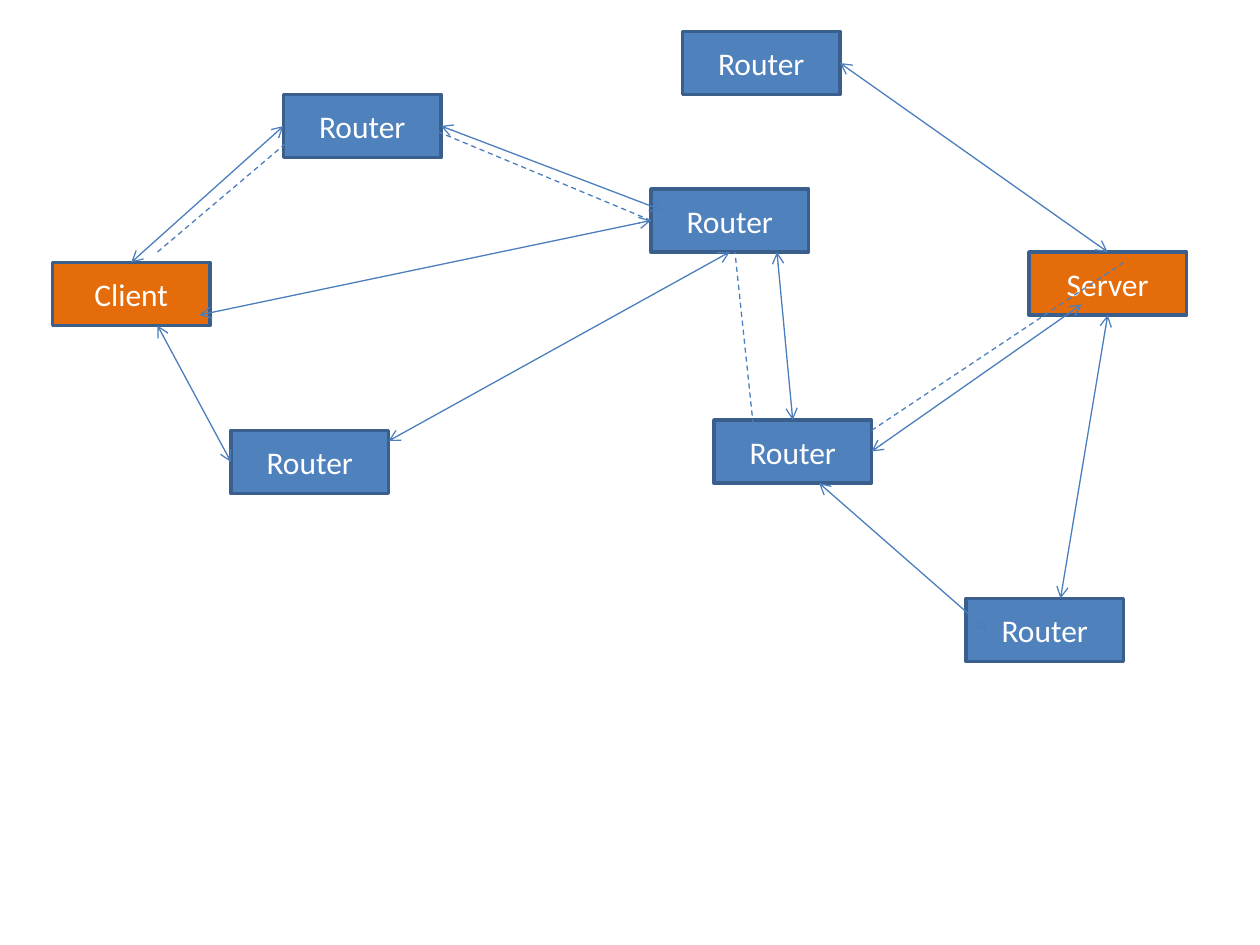
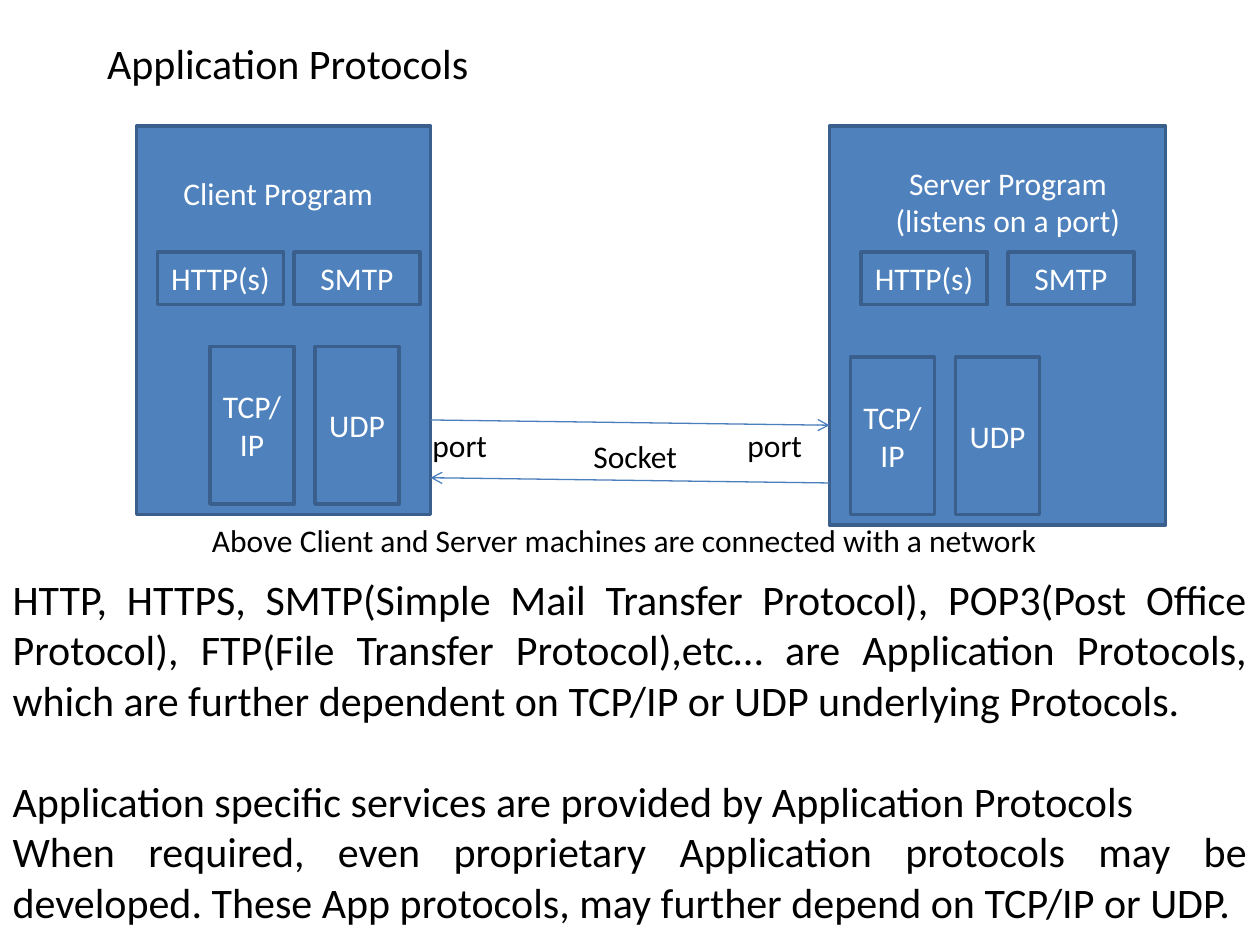
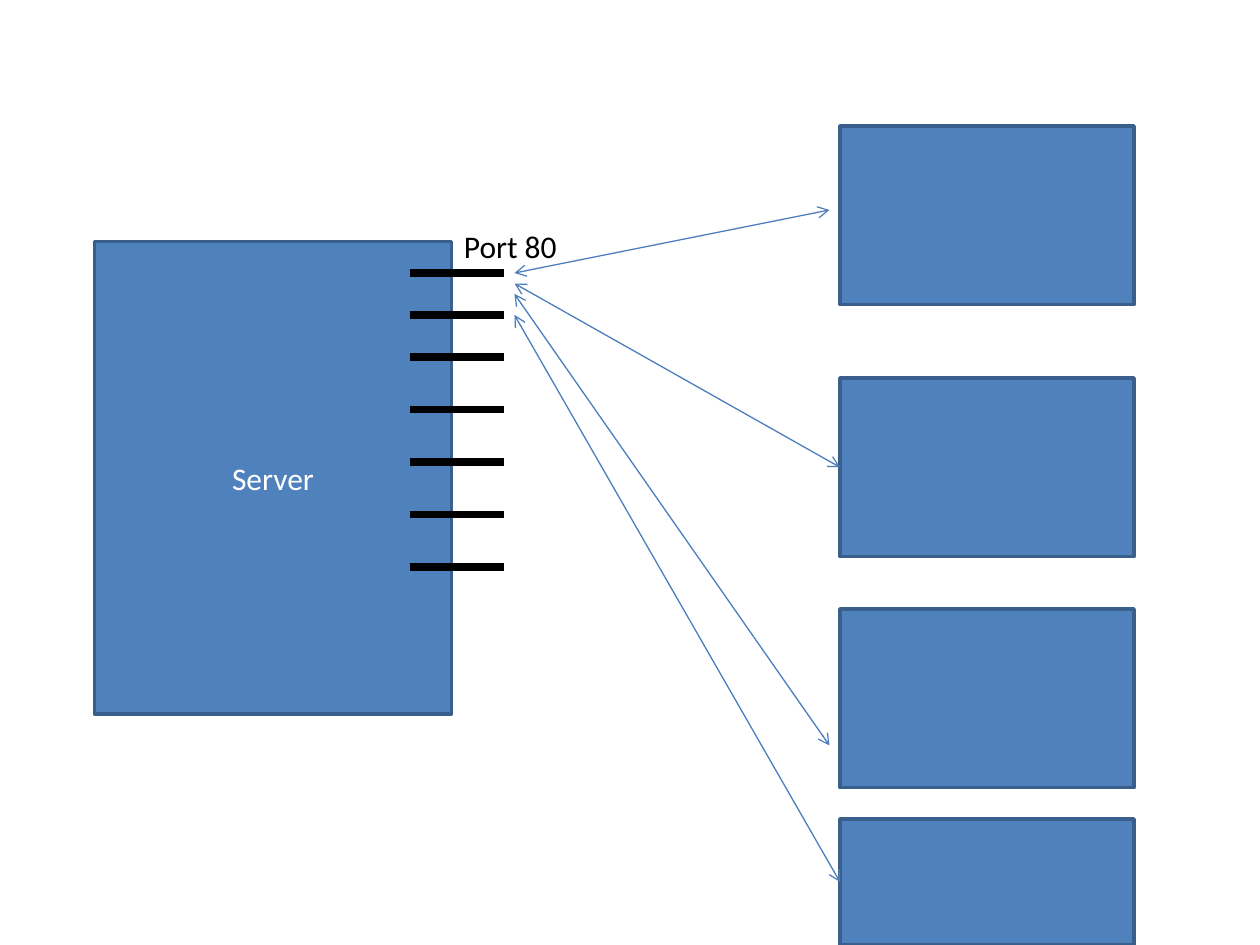
import pptx
import pptx.dml.color
import pptx.enum.dml
import pptx.enum.shapes
import pptx.enum.text
import pptx.oxml
import pptx.oxml.ns
import pptx.util

COLORS = {"node": "4F81BD", "endpoint": "E46C0A", "outline": "3A5F8C",
          "link": "4B7EBC", "light": "FFFFFF", "dark": "000000"}
FONT = "Calibri"
STEP = 2.54 / 12  # centimetres in one grid unit, twelve to the inch
LABEL_H = 4.8     # height of a one-line label, in grid units

ALIGN = pptx.enum.text.PP_ALIGN
ANCHOR = pptx.enum.text.MSO_ANCHOR
BOX_TEXT = {"alignment": ALIGN.CENTER}
PLAIN_TEXT = {"alignment": ALIGN.LEFT}
BODY_TEXT = {"alignment": ALIGN.JUSTIFY, "space_before": pptx.util.Pt(0)}


def grid(*units):
    """Turn grid units into lengths."""
    return [pptx.util.Cm(STEP * u) for u in units]


def rgb(name):
    """Look up a colour of the deck."""
    return pptx.dml.color.RGBColor.from_string(COLORS[name])


def set_attrs(obj, values):
    """Set each attribute named in values."""
    for name, value in values.items():
        setattr(obj, name, value)


def place(sp, left, top, width, height):
    """Move a shape to a box of the grid."""
    names = ("left", "top", "width", "height")
    set_attrs(sp, dict(zip(names, grid(left, top, width, height))))


def write(sp, lines, para, color, size=18, anchor=ANCHOR.TOP):
    """Write one paragraph a line into a shape."""
    tf = sp.text_frame
    set_attrs(tf, {"word_wrap": True, "vertical_anchor": anchor,
                   "auto_size": pptx.enum.text.MSO_AUTO_SIZE.NONE})
    for i, line in enumerate(lines):
        p = tf.add_paragraph() if i else tf.paragraphs[0]
        set_attrs(p, para)
        r = p.add_run()
        r.text = line
        set_attrs(r.font, {"name": FONT, "size": pptx.util.Pt(size)})
        r.font.color.rgb = rgb(color)


def add_box(slide, left, top, width, height, *lines, fill="node"):
    """Add an outlined rectangle with centred text."""
    sp = slide.shapes.add_shape(pptx.enum.shapes.MSO_SHAPE.RECTANGLE,
                                *grid(left, top, width, height))
    sp.shadow.inherit = False
    sp.fill.solid()
    sp.fill.fore_color.rgb = rgb(fill)
    sp.line.color.rgb = rgb("outline")
    sp.line.width = pptx.util.Pt(2)
    write(sp, lines, BOX_TEXT, "light", anchor=ANCHOR.MIDDLE)


def add_label(slide, left, top, width, *lines, para=PLAIN_TEXT, color="dark"):
    """Add free text."""
    sp = slide.shapes.add_textbox(*grid(left, top, width, LABEL_H * len(lines)))
    write(sp, lines, para, color)


def add_link(slide, x1, y1, x2, y2, ends=("head", "tail"), dashed=False,
             color="link", width=0.75):
    """Add a line with open arrowheads at the named ends."""
    sp = slide.shapes.add_connector(pptx.enum.shapes.MSO_CONNECTOR.STRAIGHT,
                                    *grid(x1, y1, x2, y2))
    sp.line.color.rgb = rgb(color)
    sp.line.width = pptx.util.Pt(width)
    if dashed:
        sp.line.dash_style = pptx.enum.dml.MSO_LINE.DASH
    ln = sp.line._get_or_add_ln()
    for end in ends:
        ln.append(pptx.oxml.parse_xml(
            f'<a:{end}End {pptx.oxml.ns.nsdecls("a")} type="arrow"/>'))
    sp._element.spPr.append(pptx.oxml.parse_xml(
        f'<a:effectLst {pptx.oxml.ns.nsdecls("a")}/>'))


def network(slide, left, top):
    """Draw routers between a client and a server, with one dashed route."""
    nodes = [("Client", 0, 22), ("Server", 93, 21)]
    nodes += [("Router", x, y) for x, y in
              ((60, 0), (87, 54), (17, 38), (63, 37), (57, 15), (22, 6))]
    for name, x, y in nodes:
        add_box(slide, left + x, top + y, 15, 6, name,
                fill="node" if name == "Router" else "endpoint")
    links = [(7.5, 22, 22, 9), (37, 9, 58, 17), (14, 27, 57, 18),
             (32, 39, 64.5, 21), (10, 28, 17, 41), (69, 21, 70.5, 37),
             (78, 40, 98, 26), (75, 3, 100.5, 21), (73, 43, 89, 57),
             (100.5, 27, 96, 54)]
    route = [(10, 21, 23, 10), (57, 18, 33, 8), (67, 40, 65, 21),
             (78, 38, 102, 22)]
    for x1, y1, x2, y2 in links:
        add_link(slide, left + x1, top + y1, left + x2, top + y2)
    for x1, y1, x2, y2 in route:
        add_link(slide, left + x1, top + y1, left + x2, top + y2,
                 ends=(), dashed=True)


def machine(slide, left, top, width, height, label, label_at, app_x,
            transport_x, transport_y):
    """Draw a machine with its program, application and transport protocols."""
    add_box(slide, left, top, width, height)
    x, y, w = label_at
    add_label(slide, left + x, top + y, w, *label, para=BOX_TEXT, color="light")
    for x, name in zip(app_x, ("HTTP(s)", "SMTP")):
        add_box(slide, left + x, top + 12, 12, 5, name)
    for x, lines in zip(transport_x, (("TCP/", "IP"), ("UDP",))):
        add_box(slide, left + x, top + transport_y, 8, 15, *lines)


def socket(slide, left, top, width):
    """Draw the two directions of a socket between two ports."""
    right = left + width
    add_link(slide, left, top, right, top + 0.5, ends=("tail",))
    add_link(slide, right, top + 6, left, top + 5.5, ends=("tail",))
    add_label(slide, left + 7, top + 1, 25, "Socket", para=BOX_TEXT)
    for x in (left - 1, right - 9):
        add_label(slide, x, top, 9, "port")


def title(slide, left, top, width, height, text):
    """Fill the title placeholder."""
    sp = slide.shapes.title
    place(sp, left, top, width, height)
    write(sp, [text], PLAIN_TEXT, "dark", size=24)


def body(slide, left, top, width, height, lines, gap_before):
    """Fill the body placeholder, with a gap before one paragraph."""
    sp = slide.placeholders[1]
    place(sp, left, top, width, height)
    write(sp, lines, BODY_TEXT, "dark", size=24)
    for p in sp.text_frame.paragraphs:
        pPr = p._p.get_or_add_pPr()
        pPr.set("marL", "0")
        pPr.set("indent", "0")
        pPr.append(pptx.oxml.parse_xml(
            f'<a:buNone {pptx.oxml.ns.nsdecls("a")}/>'))
    sp.text_frame.paragraphs[gap_before].space_before = pptx.util.Pt(29)


def server_ports(slide, left, top, width, height):
    """Draw a server with a row of ports on its right edge."""
    add_box(slide, left, top, width, height, "Server")
    for y in (3, 7, 11, 16, 21, 26, 31):
        add_link(slide, left + width - 4, top + y, left + width + 5, top + y,
                 ends=(), color="dark", width=4.5)
    add_label(slide, left + width, top - 2, 15, "Port 80")


def clients(slide, left, top, width):
    """Draw the clients, each linked to the same port."""
    for y, height in ((0, 17), (24, 17), (46, 17), (66, 12)):
        add_box(slide, left, top + y, width, height)
    for y1, x2, y2 in ((14, -1, 8), (15, 0, 32.5), (16, -1, 59), (18, 0, 72)):
        add_link(slide, left - 31, top + y1, left + x2, top + y2)


prs = pptx.Presentation()
prs.slide_width, prs.slide_height = grid(120, 90)
CONTENT, BLANK = prs.slide_layouts[1], prs.slide_layouts[6]

s = prs.slides.add_slide(BLANK)
network(s, 5, 3)

s = prs.slides.add_slide(CONTENT)
title(s, 9, 3, 96, 6, "Application Protocols")
body(s, 0, 54, 120, 40, [
    "HTTP, HTTPS, SMTP(Simple Mail Transfer Protocol), POP3(Post Office "
    "Protocol), FTP(File Transfer Protocol),etc… are Application Protocols, "
    "which are further dependent on TCP/IP or UDP underlying Protocols.",
    "Application specific services are provided by Application Protocols",
    "When required, even proprietary Application protocols may be developed. "
    "These App protocols, may further depend on TCP/IP or UDP."], gap_before=1)
machine(s, 13, 12, 28, 37, ["Client Program"], (2, 4, 23),
        app_x=(2, 15), transport_x=(7, 17), transport_y=21)
machine(s, 79, 12, 32, 38, ["Server Program", "(listens on a port)"], (2, 3, 30),
        app_x=(3, 17), transport_x=(2, 12), transport_y=22)
socket(s, 41, 40, 38)
add_label(s, 19, 49, 85,
          "Above Client and Server machines are connected with a network")

s = prs.slides.add_slide(BLANK)
server_ports(s, 9, 23, 34, 45)
clients(s, 80, 12, 28)

prs.save("out.pptx")
